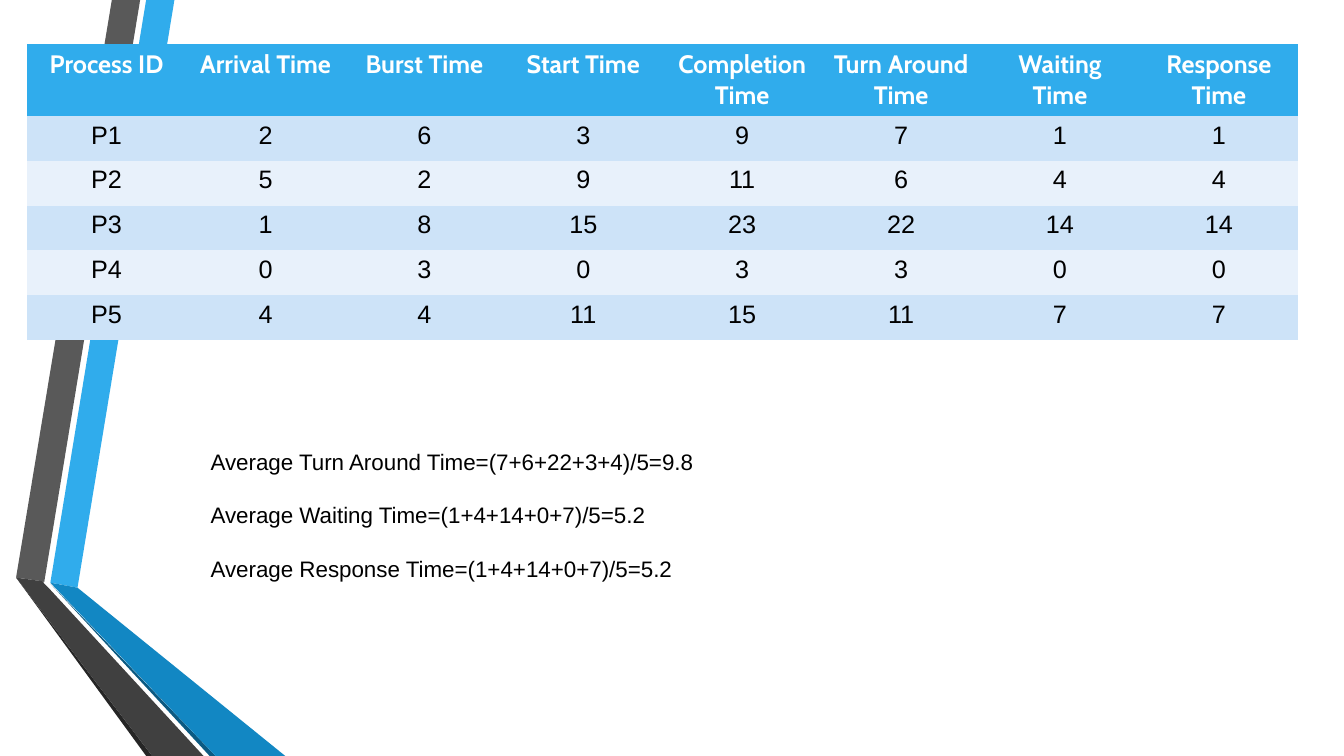
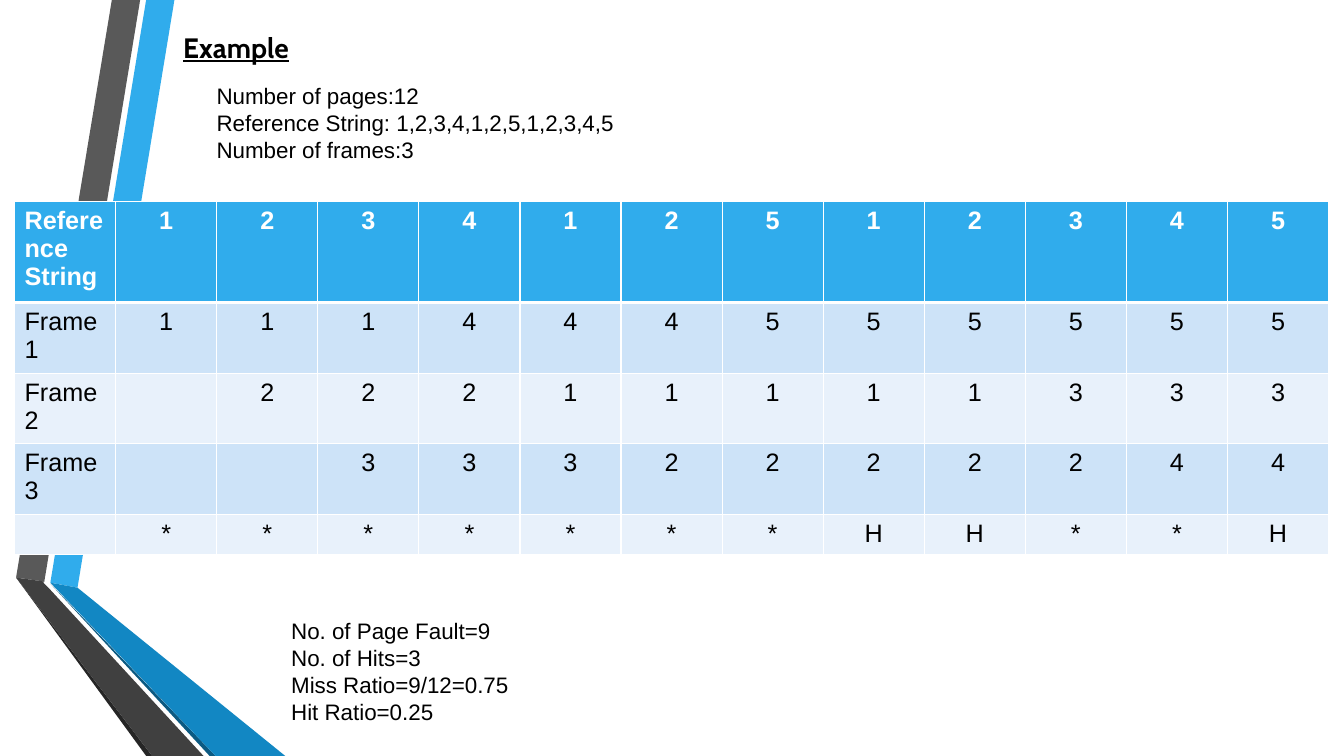
"""Two scheduling slides: a process table and a page replacement example."""
from dataclasses import dataclass

from lxml import etree
from pptx import Presentation
from pptx.dml.color import RGBColor
from pptx.enum.text import MSO_AUTO_SIZE, PP_ALIGN
from pptx.oxml.ns import qn
from pptx.slide import Slide
from pptx.table import _Cell
from pptx.text.text import Font
from pptx.util import Pt

CENTER, LEFT = PP_ALIGN.CENTER, PP_ALIGN.LEFT
FIT_SHAPE = MSO_AUTO_SIZE.SHAPE_TO_FIT_TEXT
BLANK_LAYOUT = 6

WHITE, BLACK, BLUE = "FFFFFF", "000000", "30ACEC"
ROW_FILLS = ("CDE3F8", "E8F1FB")

TITLE = {"name": "Cabin", "size": Pt(20), "bold": True, "underline": True}
NOTE = {"name": "Arial", "size": Pt(16), "bold": False}
CELL = {"name": "Arial", "size": Pt(18), "bold": False}
NOTE_LINE = {"line_spacing": Pt(19.3)}
SPACED_LINE = NOTE_LINE | {"space_after": Pt(19)}


@dataclass(frozen=True)
class Band:
    """A filled polygon of the shared side ribbon, in points."""
    fill: str
    corners: tuple[tuple[float, float], ...]


@dataclass(frozen=True)
class TextBlock:
    """A text box with one paragraph per line, in points."""
    left: float
    top: float
    width: float
    height: float
    lines: tuple[str, ...]
    font: dict
    spacing: dict


@dataclass(frozen=True)
class Grid:
    """A table with equal columns, in points."""
    left: float
    top: float
    column_width: float
    row_heights: tuple[float, ...]
    rows: tuple[tuple[str, ...], ...]
    header_font: str
    first_column: PP_ALIGN
    border: float = 0
    header_rule: float = 0


RIBBON = (
    Band(BLUE, ((36, 416.2), (55.4, 419.8), (124.6, 0), (104.4, 0))),
    Band("595959", ((100.1, 0), (79.9, 0), (11.5, 412.6), (31.7, 415.4))),
    Band("262626", ((11.5, 412.6), (104.4, 540), (108.7, 540))),
    Band("0C5A82", ((36, 416.9), (149.8, 540), (154.1, 540))),
    Band("1287C3", ((36, 416.2), (154.1, 540), (203.8, 540), (55.4, 419.8))),
    Band("404040", ((145.4, 540), (34.6, 419.8), (31, 416.2), (31.7, 415.4),
                    (11.5, 412.6), (108.7, 540))),
)

PROCESSES = Grid(
    19.4, 31.6, 113.5, (51.4,) + (32,) * 5,
    (
        ("Process ID", "Arrival Time", "Burst Time", "Start Time",
         "Completion Time", "Turn Around Time", "Waiting Time",
         "Response Time"),
        ("P1", "2", "6", "3", "9", "7", "1", "1"),
        ("P2", "5", "2", "9", "11", "6", "4", "4"),
        ("P3", "1", "8", "15", "23", "22", "14", "14"),
        ("P4", "0", "3", "0", "3", "3", "0", "0"),
        ("P5", "4", "4", "11", "15", "11", "7", "7"),
    ),
    "Cabin", CENTER,
)

FRAMES = Grid(
    10.4, 144, 72.2, (71.5, 50.5, 50.5, 50.5, 28.8),
    (
        ("Reference String", *"123412512345"),
        ("Frame 1", *"111444555555"),
        ("Frame 2", "", *"22211111333"),
        ("Frame 3", "", "", *"3332222244"),
        ("", *"*******HH**H"),
    ),
    "Arial", LEFT, border=1, header_rule=3,
)

AVERAGES = TextBlock(
    143.3, 316.1, 603.4, 104.4,
    ("Average Turn Around Time=(7+6+22+3+4)/5=9.8",
     "Average Waiting Time=(1+4+14+0+7)/5=5.2",
     "Average Response Time=(1+4+14+0+7)/5=5.2"),
    NOTE, SPACED_LINE,
)

EXAMPLE_TEXTS = (
    TextBlock(123.8, 18, 96, 31.7, ("Example",), TITLE, {}),
    TextBlock(147.6, 54.7, 347, 65.5,
              ("Number of pages:12",
               "Reference String: 1,2,3,4,1,2,5,1,2,3,4,5",
               "Number of frames:3"),
              NOTE, NOTE_LINE),
    TextBlock(200.9, 437, 187.9, 85,
              ("No. of Page Fault=9", "No. of Hits=3",
               "Miss Ratio=9/12=0.75", "Hit Ratio=0.25"),
              NOTE, NOTE_LINE),
)


def color(value: str) -> RGBColor:
    """Turn a hex string into a colour."""
    return RGBColor.from_string(value)


def apply_format(target: object, values: dict) -> None:
    """Set every attribute in values on the target."""
    for name, value in values.items():
        setattr(target, name, value)


def style_font(font: Font, values: dict, ink: str) -> None:
    """Give a font its format values and colour."""
    apply_format(font, values)
    font.color.rgb = color(ink)


def draw_band(page: Slide, band: Band) -> None:
    """Draw one polygon of the ribbon."""
    (start_x, start_y), *rest = [(Pt(x), Pt(y)) for x, y in band.corners]
    builder = page.shapes.build_freeform(start_x, start_y)
    builder.add_line_segments(rest, close=True)
    shape = builder.convert_to_shape()
    shape.shadow.inherit = False
    shape.fill.solid()
    shape.fill.fore_color.rgb = color(band.fill)
    shape.line.fill.background()


def draw_text(page: Slide, block: TextBlock) -> None:
    """Draw a text box."""
    box = page.shapes.add_textbox(Pt(block.left), Pt(block.top),
                                  Pt(block.width), Pt(block.height))
    frame = box.text_frame
    frame.word_wrap = True
    frame.auto_size = FIT_SHAPE
    for index, line in enumerate(block.lines):
        para = frame.add_paragraph() if index else frame.paragraphs[0]
        apply_format(para, block.spacing)
        span = para.add_run()
        span.text = line
        style_font(span.font, block.font, BLACK)


def set_borders(cell: _Cell, widths: dict[str, float]) -> None:
    """Draw white cell borders; a width of zero means no line."""
    properties = cell._tc.get_or_add_tcPr()
    for side, width in widths.items():
        line = etree.SubElement(properties, qn(f"a:{side}"), w=str(Pt(width)))
        if width:
            fill = etree.SubElement(line, qn("a:solidFill"))
            etree.SubElement(fill, qn("a:srgbClr"), val=WHITE)
        else:
            etree.SubElement(line, qn("a:noFill"))


def fill_cell(cell: _Cell, text: str, grid: Grid, row: int, column: int) -> None:
    """Write and format one table cell."""
    header = row == 0
    set_borders(cell, {
        "lnL": grid.border,
        "lnR": grid.border,
        "lnT": grid.header_rule if row == 1 else grid.border,
        "lnB": grid.header_rule if header else grid.border,
    })
    cell.fill.solid()
    cell.fill.fore_color.rgb = color(BLUE if header else ROW_FILLS[(row - 1) % 2])
    para = cell.text_frame.paragraphs[0]
    para.alignment = CENTER if column else grid.first_column
    font = CELL | {"name": grid.header_font, "bold": True} if header else CELL
    if text:
        span = para.add_run()
        span.text = text
        style_font(span.font, font, WHITE if header else BLACK)


def draw_grid(page: Slide, grid: Grid) -> None:
    """Draw a table with a header row and banded rows."""
    count = len(grid.rows[0])
    table = page.shapes.add_table(
        len(grid.rows), count, Pt(grid.left), Pt(grid.top),
        Pt(grid.column_width * count), Pt(sum(grid.row_heights))).table
    apply_format(table, {"first_row": False, "horz_banding": False})
    for column in table.columns:
        column.width = Pt(grid.column_width)
    for row, (texts, height) in enumerate(zip(grid.rows, grid.row_heights)):
        table.rows[row].height = Pt(height)
        for column, text in enumerate(texts):
            fill_cell(table.cell(row, column), text, grid, row, column)


def main() -> None:
    """Build and save the deck."""
    deck = Presentation()
    apply_format(deck, {"slide_width": Pt(960), "slide_height": Pt(540)})
    for grid, blocks in ((PROCESSES, (AVERAGES,)), (FRAMES, EXAMPLE_TEXTS)):
        page = deck.slides.add_slide(deck.slide_layouts[BLANK_LAYOUT])
        for band in RIBBON:
            draw_band(page, band)
        draw_grid(page, grid)
        for block in blocks:
            draw_text(page, block)
    deck.save("out.pptx")


main()
